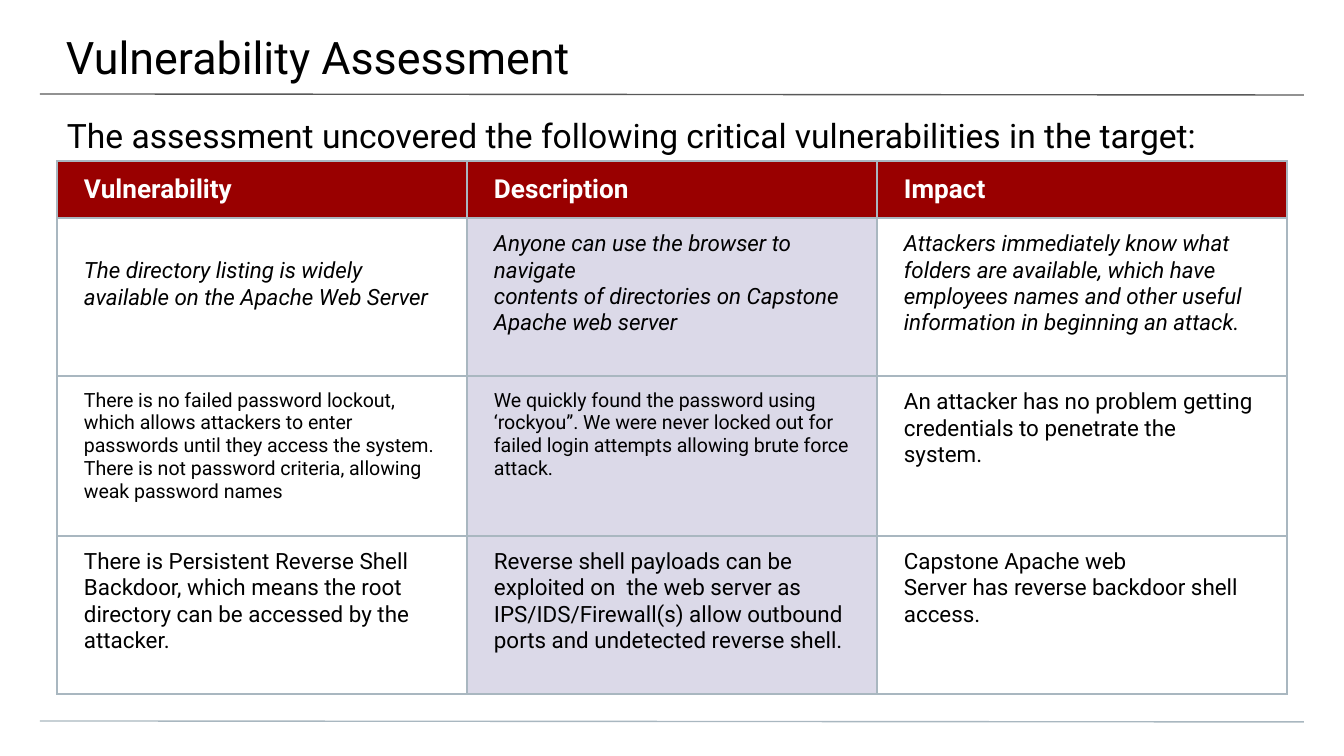
from lxml import etree
from pptx import Presentation
from pptx.dml.color import RGBColor
from pptx.enum import shapes, text
from pptx.oxml.ns import qn
from pptx.util import Emu, Pt

# Content
TITLE = "Vulnerability Assessment"
SUBTITLE = "The assessment uncovered the following critical vulnerabilities in the target:"
HEADERS = ["Vulnerability", "Description", "Impact"]
# Each cell: size in points, italic, paragraphs
ROWS = [
    [
        (12, True, ["The directory listing is widely available on the Apache Web Server"]),
        (12, True, ["Anyone can use the browser to navigate",
                    "contents of directories on Capstone",
                    "Apache web server"]),
        (12, True, ["Attackers immediately know what folders are available, which have "
                    "employees names and other useful information in beginning an attack."]),
    ],
    [
        (10.5, False, ["There is no failed password lockout, which allows attackers to enter "
                       "passwords until they access the system. There is not password "
                       "criteria, allowing weak password names"]),
        (10.5, False, ["We quickly found the password using ‘rockyou”. We were never locked "
                       "out for failed login attempts allowing brute force",
                       "attack."]),
        (12, False, ["An attacker has no problem getting credentials to penetrate the system."]),
    ],
    [
        (12, False, ["There is Persistent Reverse Shell Backdoor, which means the root "
                     "directory can be accessed by the attacker."]),
        (12, False, ["Reverse shell payloads can be",
                     "exploited on  the web server as",
                     "IPS/IDS/Firewall(s) allow outbound",
                     "ports and undetected reverse shell."]),
        (12, False, ["Capstone Apache web",
                     "Server has reverse backdoor shell access."]),
    ],
]

FONT = "Roboto"
BLACK, WHITE, RED, LILAC = "000000", "FFFFFF", "990000", "DBD9E8"
RULE, BORDER = "595959", "A9B7C0"
TABLE_LEFT, TABLE_TOP, COL_WIDTH = 57, 161, 410
ROW_HEIGHTS = [57, 158, 160, 158]
PAD_X, PAD_Y = 27, 13
LOWERED_PAD = 40  # drops the first finding by one line


def px(n):
    return Emu(round(n * 914400 / 134.4))


def rgb(value):
    return RGBColor.from_string(value)


def write(tf, paragraphs, size, color=BLACK, bold=False, italic=False):
    for i, words in enumerate(paragraphs):
        p = tf.paragraphs[0] if i == 0 else tf.add_paragraph()
        p.alignment = text.PP_ALIGN.LEFT
        p.space_before = Pt(0)
        r = p.add_run()
        r.text = words
        r.font.name, r.font.size = FONT, Pt(size)
        r.font.bold, r.font.italic = bold, italic
        r.font.color.rgb = rgb(color)


def fill_placeholder(sp, box, insets, words, size):
    sp.left, sp.top, sp.width, sp.height = map(px, box)
    tf = sp.text_frame
    tf.word_wrap = True
    tf.auto_size = text.MSO_AUTO_SIZE.NONE
    tf.vertical_anchor = text.MSO_ANCHOR.TOP
    tf.margin_left, tf.margin_top, tf.margin_right, tf.margin_bottom = map(px, insets)
    write(tf, [words], size)


def add_rule(slide, y, color):
    line = slide.shapes.add_connector(
        shapes.MSO_CONNECTOR.STRAIGHT, px(40), px(y), px(1304), px(y + 1))
    line.line.color.rgb = rgb(color)
    line.line.width = Pt(0.75)
    etree.SubElement(line._element.spPr, qn("a:effectLst"))


def format_cell(cell, fill, top=PAD_Y):
    cell.margin_left = cell.margin_right = px(PAD_X)
    cell.margin_top, cell.margin_bottom = px(top), px(PAD_Y)
    if fill:
        cell.fill.solid()
        cell.fill.fore_color.rgb = rgb(fill)
    else:
        cell.fill.background()
    # Borders come before the fill in the cell properties
    props = cell._tc.get_or_add_tcPr()
    for i, side in enumerate(("lnL", "lnR", "lnT", "lnB")):
        ln = etree.Element(qn(f"a:{side}"), w=str(Pt(0.75)))
        solid = etree.SubElement(ln, qn("a:solidFill"))
        etree.SubElement(solid, qn("a:srgbClr"), val=BORDER)
        props.insert(i, ln)


prs = Presentation()
prs.slide_width, prs.slide_height = px(1344), px(756)
slide = prs.slides.add_slide(prs.slide_layouts[0])

# Rules above and below the content
add_rule(slide, 94, RULE)
add_rule(slide, 721, BORDER)

# Title and subtitle
fill_placeholder(slide.shapes.title, (-1, 0, 1348, 78), (67, 30, 40, 0), TITLE, 24)
fill_placeholder(slide.placeholders[1], (0, 99, 1344, 54), (67, 16, 67, 0), SUBTITLE, 18)

# Table of findings
table = slide.shapes.add_table(
    len(ROW_HEIGHTS), len(HEADERS), px(TABLE_LEFT), px(TABLE_TOP),
    px(COL_WIDTH * len(HEADERS)), px(sum(ROW_HEIGHTS))).table
table.first_row = table.horz_banding = False
for column in table.columns:
    column.width = px(COL_WIDTH)
for row, height in zip(table.rows, ROW_HEIGHTS):
    row.height = px(height)

for c, header in enumerate(HEADERS):
    cell = table.cell(0, c)
    format_cell(cell, RED)
    cell.vertical_anchor = text.MSO_ANCHOR.MIDDLE
    write(cell.text_frame, [header], 14, WHITE, bold=True)

for r, findings in enumerate(ROWS, start=1):
    for c, (size, italic, paragraphs) in enumerate(findings):
        cell = table.cell(r, c)
        format_cell(cell, LILAC if c == 1 else None,
                    LOWERED_PAD if (r, c) == (1, 0) else PAD_Y)
        write(cell.text_frame, paragraphs, size, italic=italic)

prs.save("out.pptx")
